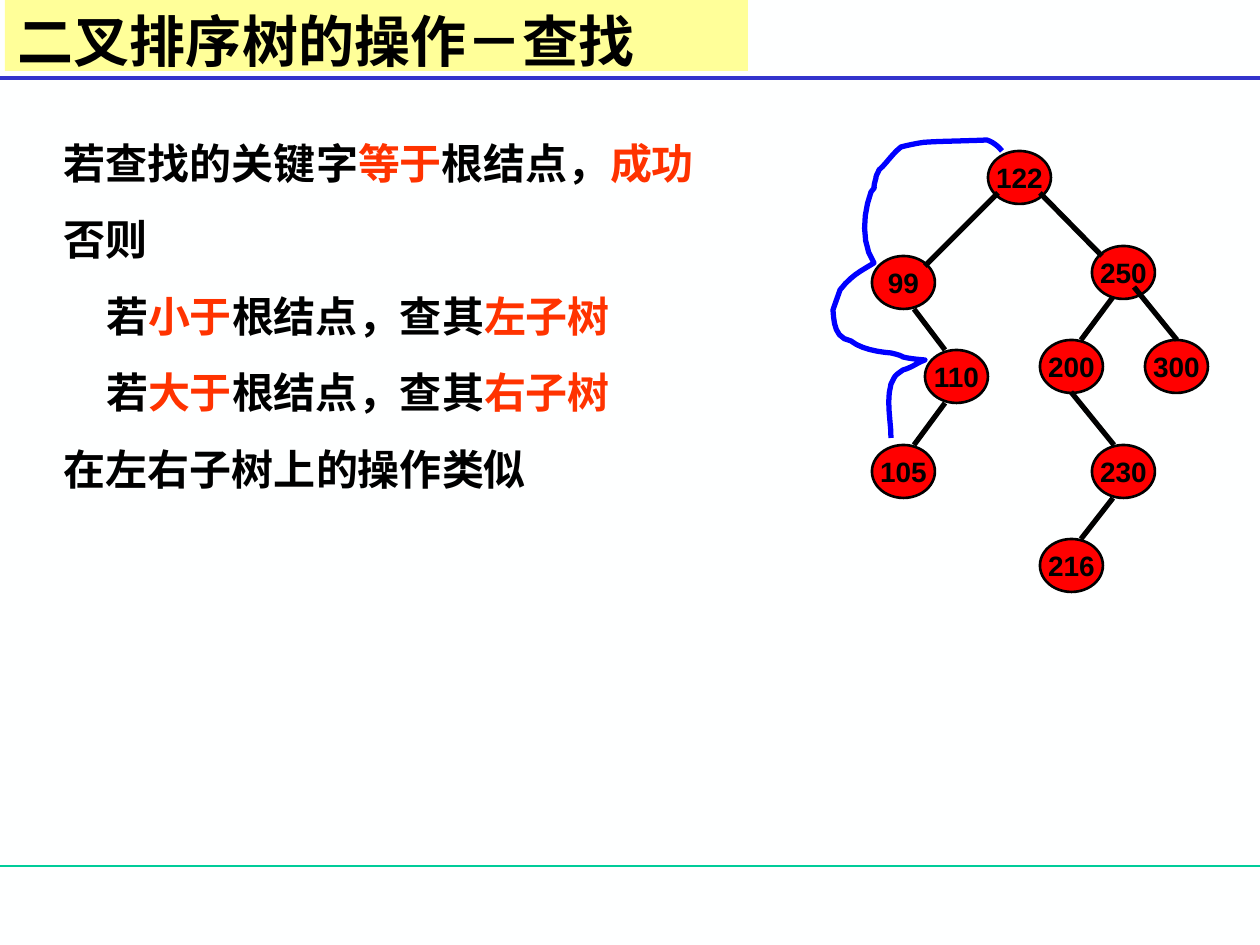
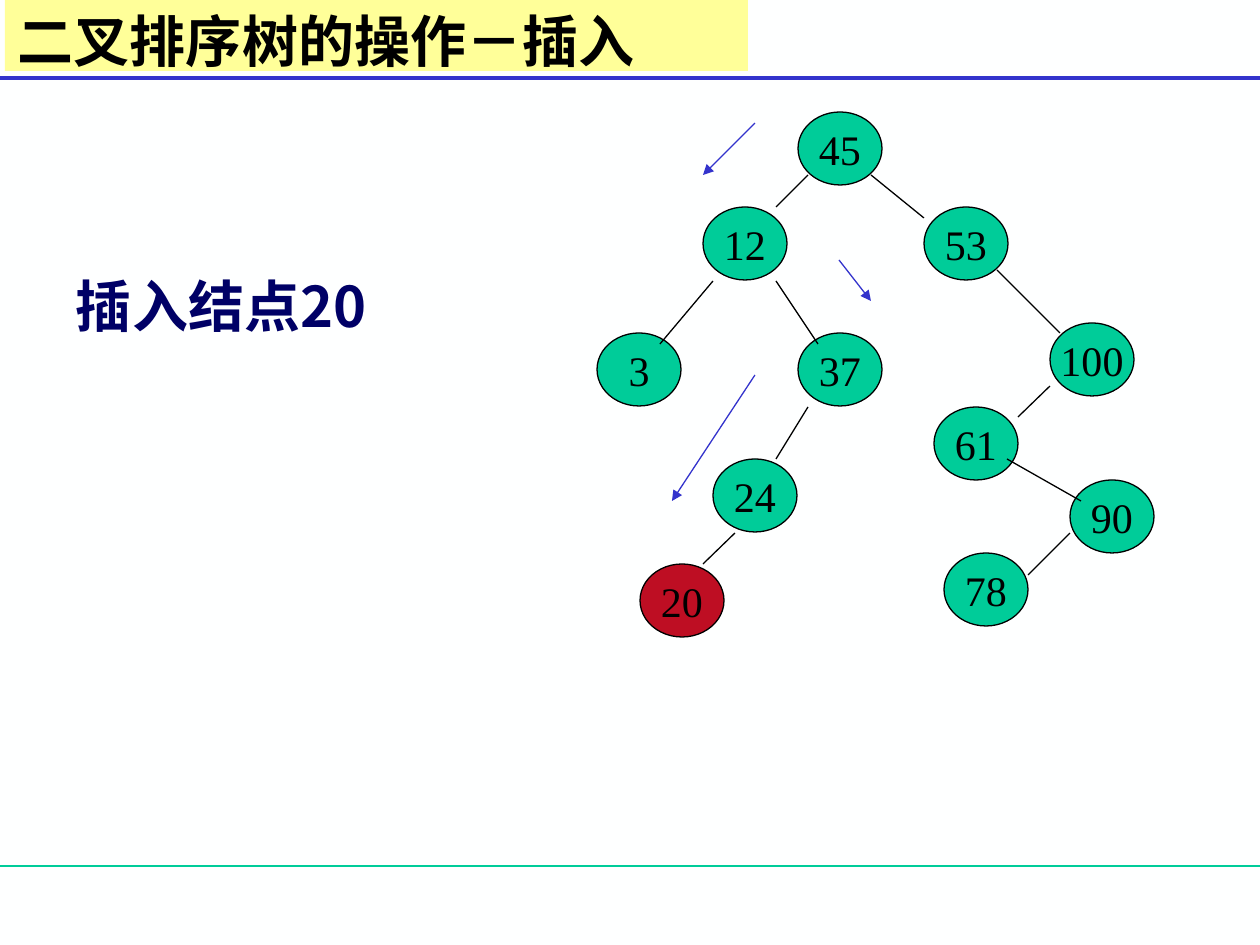
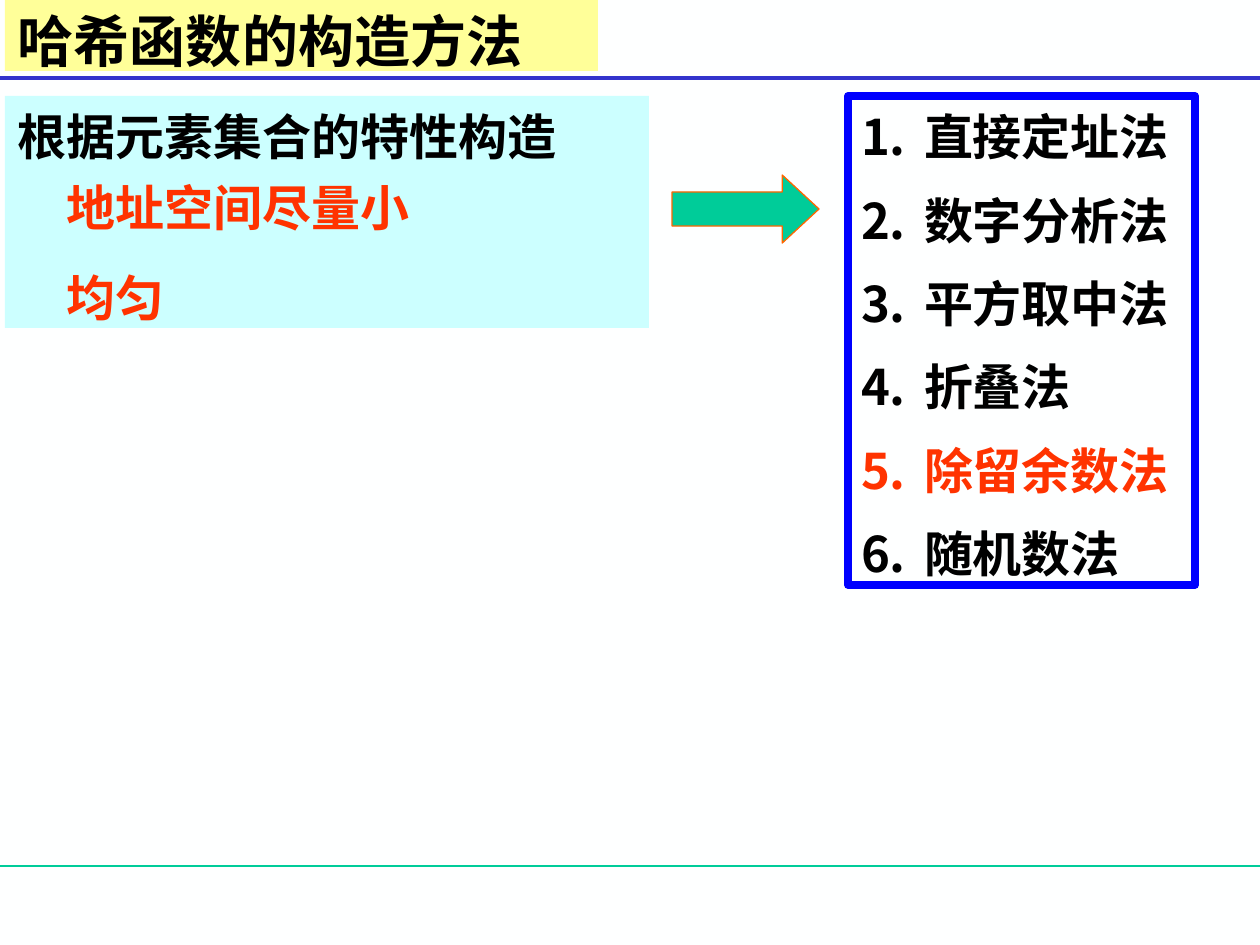
from dataclasses import dataclass

import pptx
import pptx.dml.color
import pptx.enum.shapes
import pptx.enum.text
import pptx.oxml.ns
import pptx.util
from lxml import etree
from pptx.dml.color import RGBColor
from pptx.enum.shapes import MSO_SHAPE

EMU_PER_PX = 914400 / 126
SLIDE_W, SLIDE_H = 1260, 945
HAN, SANS, SERIF = "Noto Sans CJK SC", "Arial", "Times New Roman"
LINE_HEIGHT = 1.2
CURVE_STEPS = 6

PAPER = RGBColor(0xFE, 0xFF, 0xFF)
BLACK = RGBColor(0x00, 0x00, 0x00)
GREEN = RGBColor(0x00, 0xCC, 0x99)
INDIGO = RGBColor(0x33, 0x33, 0xCC)
BLUE = RGBColor(0x00, 0x00, 0xFF)
NAVY = RGBColor(0x00, 0x00, 0x66)
RED = RGBColor(0xFF, 0x00, 0x00)
CRIMSON = RGBColor(0xBE, 0x0E, 0x23)
VERMILION = RGBColor(0xFF, 0x33, 0x00)
ORANGE = RGBColor(0xFF, 0x66, 0x00)
YELLOW = RGBColor(0xFF, 0xFF, 0x99)
PALE_CYAN = RGBColor(0xCC, 0xFF, 0xFF)


@dataclass(frozen=True)
class Box:
    x: int
    y: int
    w: int
    h: int


@dataclass(frozen=True)
class Line:
    """One paragraph; every second span is highlighted."""
    spans: tuple[str, ...]
    color: RGBColor = BLACK
    before: float = 0
    indent: int = 0
    numbered: bool = False


@dataclass(frozen=True)
class Node:
    key: int
    x: int
    y: int
    fill: RGBColor | None = None


@dataclass(frozen=True)
class Edge:
    x1: int
    y1: int
    x2: int
    y2: int


@dataclass(frozen=True)
class TreeStyle:
    w: int
    h: int
    fill: RGBColor
    outline: float
    edge: float
    font: str
    size: int
    bold: bool


SEARCH_STYLE = TreeStyle(63, 53, RED, 1.5, 3, SANS, 16, True)
SEARCH_NODES = [
    Node(122, 988, 151), Node(250, 1092, 246), Node(300, 1145, 340),
    Node(110, 925, 350), Node(200, 1040, 340), Node(99, 872, 256),
    Node(105, 872, 445), Node(230, 1092, 445), Node(216, 1040, 539),
]
SEARCH_EDGES = [
    Edge(998, 193, 925, 266), Edge(1040, 193, 1102, 256),
    Edge(1134, 287, 1177, 340), Edge(1113, 297, 1081, 340),
    Edge(914, 309, 945, 350), Edge(945, 403, 914, 445),
    Edge(1071, 392, 1114, 445), Edge(1113, 498, 1081, 539),
]
# Start point, then two control points and an end point for each curve.
SEARCH_ROUTE = [
    (1002, 151),
    (998, 146), (993, 142), (987, 140),
    (966, 141), (948, 141), (929, 142),
    (920, 142), (901, 147), (901, 147),
    (892, 154), (887, 163), (879, 170),
    (878, 173), (876, 175), (876, 178),
    (871, 194), (878, 183), (871, 192),
    (863, 214), (861, 243), (874, 263),
    (859, 272), (851, 276), (840, 290),
    (838, 296), (835, 304), (833, 310),
    (834, 324), (835, 338), (851, 341),
    (861, 349), (878, 352), (891, 353),
    (895, 354), (900, 355), (903, 357),
    (910, 359), (925, 360), (925, 360),
    (917, 363), (911, 368), (903, 370),
    (893, 377), (896, 375), (891, 384),
    (886, 402), (891, 420), (891, 438),
]
SEARCH_RULES = [
    Line(("若查找的关键字", "等于", "根结点，", "成功")),
    Line(("否则",), before=15),
    Line(("若", "小于", "根结点，查其", "左子树"), before=15, indent=42),
    Line(("若", "大于", "根结点，查其", "右子树"), before=15, indent=42),
    Line(("在左右子树上的操作类似",), before=15),
]

INSERT_STYLE = TreeStyle(84, 73, GREEN, 0.75, 0.75, SERIF, 24, False)
INSERT_NODES = [
    Node(45, 798, 112), Node(12, 703, 207), Node(53, 924, 207),
    Node(3, 597, 333), Node(37, 798, 333), Node(24, 713, 459),
    Node(100, 1050, 323), Node(61, 934, 407), Node(90, 1070, 480),
    Node(78, 944, 553), Node(20, 640, 564, CRIMSON),
]
INSERT_EDGES = [
    Edge(808, 175, 776, 207), Edge(713, 281, 660, 344),
    Edge(776, 281, 818, 344), Edge(808, 407, 776, 459),
    Edge(871, 175, 924, 218), Edge(997, 270, 1060, 333),
    Edge(1050, 386, 1018, 417), Edge(1007, 459, 1081, 501),
    Edge(1070, 533, 1028, 575), Edge(735, 533, 703, 564),
]
INSERT_ARROWS = [
    Edge(755, 123, 703, 175), Edge(839, 260, 871, 301),
    Edge(755, 375, 672, 501),
]

HASH_GOALS = [
    Line(("根据元素集合的特性构造",)),
    Line(("地址空间尽量小",), VERMILION, 7, 49),
    Line(("均匀",), VERMILION, 17.5, 49),
]
HASH_METHODS = ["直接定址法", "数字分析法", "平方取中法", "折叠法", "除留余数法", "随机数法"]
CHOSEN_METHOD = "除留余数法"


def px(n: float) -> pptx.util.Emu:
    return pptx.util.Emu(round(n * EMU_PER_PX))


def sub(parent, tag: str, **attrs: str):
    return etree.SubElement(parent, pptx.oxml.ns.qn(tag), attrs)


def add_line(s, edge: Edge, color: RGBColor, width: float, arrow: bool = False) -> None:
    ends = [px(n) for n in (edge.x1, edge.y1, edge.x2, edge.y2)]
    c = s.shapes.add_connector(pptx.enum.shapes.MSO_CONNECTOR.STRAIGHT, *ends)
    c.line.color.rgb = color
    c.line.width = pptx.util.Pt(width)
    if arrow:
        sub(c.line._get_or_add_ln(), "a:tailEnd", type="triangle")
    sub(c._element.spPr, "a:effectLst")


def paint(sp, fill: RGBColor | None, line: RGBColor | None, width: float) -> None:
    sp.shadow.inherit = False
    if fill is None:
        sp.fill.background()
    else:
        sp.fill.solid()
        sp.fill.fore_color.rgb = fill
    if line is None:
        sp.line.fill.background()
    else:
        sp.line.color.rgb = line
        sp.line.width = pptx.util.Pt(width)


def add_shape(s, kind: MSO_SHAPE, box: Box, fill: RGBColor | None = None,
              line: RGBColor | None = None, width: float = 0.75):
    sp = s.shapes.add_shape(kind, px(box.x), px(box.y), px(box.w), px(box.h))
    paint(sp, fill, line, width)
    return sp


def add_textbox(s, box: Box):
    return s.shapes.add_textbox(px(box.x), px(box.y), px(box.w), px(box.h))


def set_font(p, name: str, size: int, color: RGBColor, bold: bool) -> None:
    """Set the paragraph font for both Latin and Chinese text."""
    p.font.name = name
    sub(p._p.pPr.find(pptx.oxml.ns.qn("a:defRPr")), "a:ea", typeface=name)
    p.font.size = pptx.util.Pt(size)
    p.font.bold = bold
    p.font.color.rgb = color


def write(sp, lines: list[Line], size: int, middle: bool = False) -> None:
    """Fill a shape with bold Chinese lines at a fixed line height."""
    tf = sp.text_frame
    tf.word_wrap = True
    tf.margin_left = tf.margin_right = px(13)
    tf.margin_top, tf.margin_bottom = px(11), px(1)
    anchors = pptx.enum.text.MSO_ANCHOR
    tf.vertical_anchor = anchors.MIDDLE if middle else anchors.TOP
    for i, line in enumerate(lines):
        p = tf.add_paragraph() if i else tf.paragraphs[0]
        pPr = p._p.get_or_add_pPr()
        pPr.set("marL", str(px(line.indent)))
        if line.numbered:
            pPr.set("indent", str(-px(line.indent)))
            sub(sub(pPr, "a:buClr"), "a:srgbClr", val=str(line.color))
            sub(pPr, "a:buFont", typeface=HAN)
            sub(pPr, "a:buAutoNum", type="arabicPeriod")
        p.alignment = pptx.enum.text.PP_ALIGN.LEFT
        p.line_spacing = pptx.util.Pt(size * LINE_HEIGHT)
        if line.before:
            p.space_before = pptx.util.Pt(line.before)
        set_font(p, HAN, size, line.color, True)
        for j, span in enumerate(line.spans):
            r = p.add_run()
            r.text = span
            if j % 2:
                r.font.color.rgb = VERMILION


def add_tree(s, nodes: list[Node], edges: list[Edge], style: TreeStyle) -> None:
    for node in nodes:
        sp = add_shape(s, MSO_SHAPE.OVAL, Box(node.x, node.y, style.w, style.h),
                       node.fill or style.fill, BLACK, style.outline)
        tf = sp.text_frame
        tf.word_wrap = False
        tf.vertical_anchor = pptx.enum.text.MSO_ANCHOR.MIDDLE
        p = tf.paragraphs[0]
        p.alignment = pptx.enum.text.PP_ALIGN.CENTER
        set_font(p, style.font, style.size, BLACK, style.bold)
        p.add_run().text = str(node.key)
    for edge in edges:
        add_line(s, edge, BLACK, style.edge)


def curve_points(route: list[tuple[int, int]]) -> list[tuple[float, float]]:
    """Sample a chain of cubic curves."""
    points = []
    for i in range(0, len(route) - 1, 3):
        a, b, c, d = route[i:i + 4]
        for step in range(1, CURVE_STEPS + 1):
            t = step / CURVE_STEPS
            u = 1 - t
            points.append(tuple(
                u**3 * a[k] + 3 * u * u * t * b[k] + 3 * u * t * t * c[k] + t**3 * d[k]
                for k in (0, 1)))
    return points


def add_route(s, route: list[tuple[int, int]]) -> None:
    x, y = route[0]
    builder = s.shapes.build_freeform(px(x), px(y))
    builder.add_line_segments([(px(x), px(y)) for x, y in curve_points(route)], close=False)
    paint(builder.convert_to_shape(), None, BLUE, 3)


def add_slide(prs, title: str, title_width: int):
    s = prs.slides.add_slide(prs.slide_layouts[6])
    add_line(s, Edge(0, 866, SLIDE_W, 866), GREEN, 0.75)
    add_line(s, Edge(0, 78, SLIDE_W, 78), INDIGO, 2.25)
    band = add_shape(s, MSO_SHAPE.RECTANGLE, Box(5, 0, title_width, 71), YELLOW)
    write(band, [Line((title,))], 32, middle=True)
    return s


def search_slide(prs) -> None:
    s = add_slide(prs, "二叉排序树的操作－查找", 743)
    write(add_textbox(s, Box(51, 126, 698, 370)), SEARCH_RULES, 24)
    add_tree(s, SEARCH_NODES, SEARCH_EDGES, SEARCH_STYLE)
    add_route(s, SEARCH_ROUTE)


def insert_slide(prs) -> None:
    s = add_slide(prs, "二叉排序树的操作－插入", 743)
    add_tree(s, INSERT_NODES, INSERT_EDGES, INSERT_STYLE)
    for arrow in INSERT_ARROWS:
        add_line(s, arrow, INDIGO, 0.75, arrow=True)
    write(add_textbox(s, Box(63, 260, 358, 81)), [Line(("插入结点20",), NAVY)], 32)


def hash_slide(prs) -> None:
    s = add_slide(prs, "哈希函数的构造方法", 593)
    goals = add_shape(s, MSO_SHAPE.RECTANGLE, Box(5, 96, 644, 232), PALE_CYAN)
    write(goals, HASH_GOALS, 28)
    methods = add_shape(s, MSO_SHAPE.RECTANGLE, Box(848, 96, 347, 489), None, BLUE, 4.5)
    write(methods, [
        Line((name,), VERMILION if name == CHOSEN_METHOD else BLACK,
             14 if i else 0, 63, numbered=True)
        for i, name in enumerate(HASH_METHODS)
    ], 28)
    arrow = add_shape(s, MSO_SHAPE.RIGHT_ARROW, Box(672, 175, 147, 68), GREEN, ORANGE)
    arrow.adjustments[0] = 0.5
    arrow.adjustments[1] = 0.54


def main() -> None:
    prs = pptx.Presentation()
    prs.slide_width, prs.slide_height = px(SLIDE_W), px(SLIDE_H)
    background = prs.slide_master.background.fill
    background.solid()
    background.fore_color.rgb = PAPER
    search_slide(prs)
    insert_slide(prs)
    hash_slide(prs)
    prs.save("out.pptx")


if __name__ == "__main__":
    main()
